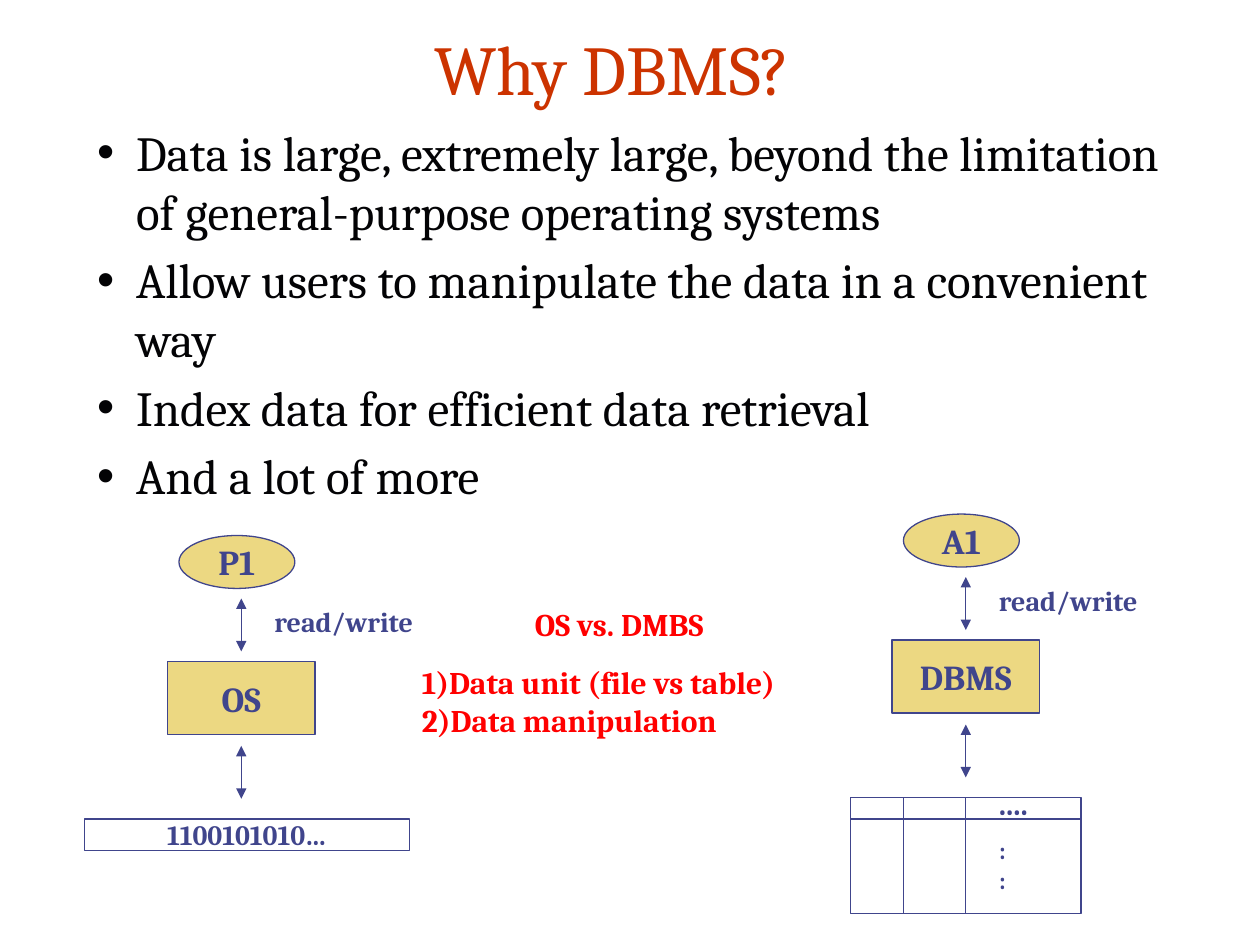
from pptx import Presentation
from pptx.dml.color import RGBColor
from pptx.enum.shapes import MSO_CONNECTOR, MSO_SHAPE
from pptx.enum.text import MSO_ANCHOR, MSO_AUTO_SIZE, PP_ALIGN
from pptx.oxml.ns import qn
from pptx.util import Inches, Pt
from lxml.etree import SubElement

FONT = "Cambria"
HEX = {"title": "CC3300", "body": "030305", "ink": "40458C",
       "gold": "ECD882", "red": "FF0000"}

TITLE = "Why DBMS? "
POINTS = [
    "Data is large, extremely large, beyond the limitation of general-purpose operating systems",
    "Allow users to manipulate the data in a convenient way",
    "Index data for efficient data retrieval",
    "And a lot of more",
]
VERSUS = "OS vs. DMBS"
ISSUES = ["Data unit (file vs table)", "Data manipulation"]
BITS = "1100101010…"
LINK = "read/write"
# user, system, left and top of the stack
STACKS = [("P1", "OS", 1.33, 4.25), ("A1", "DBMS", 7.08, 4.08)]
GRID = (6.75, 6.33, 1.83, 0.92)
HEAD_Y, COL_X = 6.5, 7.17


def color(name):
    return RGBColor.from_string(HEX[name])


def place(shape, box):
    shape.left, shape.top, shape.width, shape.height = map(Inches, box)


def write(frame, lines, size=16, ink="ink", bold=True, align=None,
          wrap=False, anchor=None, fit=MSO_AUTO_SIZE.NONE):
    """Fill the frame, one paragraph a line, and return the paragraphs."""
    frame.auto_size = fit
    frame.word_wrap = wrap
    if anchor is not None:
        frame.vertical_anchor = anchor
    for i, line in enumerate(lines):
        para = frame.add_paragraph() if i else frame.paragraphs[0]
        para.alignment = align
        run = para.add_run()
        run.text = line
        font = run.font
        font.name, font.size, font.bold = FONT, Pt(size), bold
        font.color.rgb = color(ink)
    return frame.paragraphs


def note(box, lines, **style):
    shape = slide.shapes.add_textbox(*map(Inches, box))
    return write(shape.text_frame, lines, fit=MSO_AUTO_SIZE.SHAPE_TO_FIT_TEXT, **style)


def block(kind, box, text=None, fill=None, size=20):
    shape = slide.shapes.add_shape(kind, *map(Inches, box))
    shape.shadow.inherit = False
    if fill:
        shape.fill.solid()
        shape.fill.fore_color.rgb = color(fill)
    else:
        shape.fill.background()
    shape.line.color.rgb = color("ink")
    shape.line.width = Pt(0.75)
    if text:
        write(shape.text_frame, [text], size=size, align=PP_ALIGN.CENTER,
              anchor=MSO_ANCHOR.MIDDLE)
    return shape


def rule(x1, y1, x2, y2, arrows=False):
    line = slide.shapes.add_connector(MSO_CONNECTOR.STRAIGHT,
                                      *map(Inches, (x1, y1, x2, y2)))
    line.line.color.rgb = color("ink")
    line.line.width = Pt(0.75)
    if arrows:
        ln = line.line._get_or_add_ln()
        for end in ("a:headEnd", "a:tailEnd"):
            SubElement(ln, qn(end)).set("type", "triangle")
    SubElement(line._element.spPr, qn("a:effectLst"))
    return line


def stack(user, system, left, top):
    """Draw a user above a system, with arrows below each of them."""
    mid = left + 0.585
    block(MSO_SHAPE.OVAL, (left + 0.09, top, 0.92, 0.42), user, "gold")
    block(MSO_SHAPE.RECTANGLE, (left, top + 1, 1.17, 0.58), system, "gold")
    for gap in (0.5, 1.67):
        rule(mid, top + gap, mid, top + gap + 0.42, arrows=True)
    note((left + 0.75, top + 0.5, 1.35, 0.37), [LINK])


deck = Presentation()
deck.slide_width, deck.slide_height = Inches(10), Inches(7.5)
slide = deck.slides.add_slide(deck.slide_layouts[1])

title, body = slide.placeholders
place(title, (0.67, 0.17, 8.5, 0.75))
write(title.text_frame, [TITLE], size=40, ink="title", bold=False, wrap=True,
      align=PP_ALIGN.CENTER, anchor=MSO_ANCHOR.BOTTOM)
place(body, (0.67, 0.92, 9, 3.17))
for para in write(body.text_frame, POINTS, size=28, ink="body", bold=False, wrap=True):
    props = para._p.get_or_add_pPr()
    props.set("marL", str(Inches(0.31)))
    props.set("indent", str(-Inches(0.31)))
    SubElement(props, qn("a:buChar")).set("char", "•")

for item in STACKS:
    stack(*item)
block(MSO_SHAPE.RECTANGLE, (0.67, 6.5, 2.58, 0.25), BITS, size=16)

head, *items = note((3.25, 4.75, 3.33, 1.18), [VERSUS] + ISSUES,
                    size=18, ink="red", wrap=True)
head.alignment = PP_ALIGN.CENTER
head.space_after = Pt(12)
for para in items:
    SubElement(para._p.get_or_add_pPr(), qn("a:buAutoNum")).set("type", "arabicParenR")

x, y, wide, high = GRID
table = block(MSO_SHAPE.RECTANGLE, GRID)
rule(x, HEAD_Y, x + wide, HEAD_Y)
rule(COL_X, y, COL_X, y + high)
split = rule(x + wide / 2, y, x + wide / 2, y + high)
split.begin_connect(table, 0)
split.end_connect(table, 2)
note((7.83, 6.58, 0.26, 0.57), [":", ":"], size=14)
note((7.83, 6.17, 0.83, 0.4), ["...."], size=18, wrap=True)

deck.save("out.pptx")
